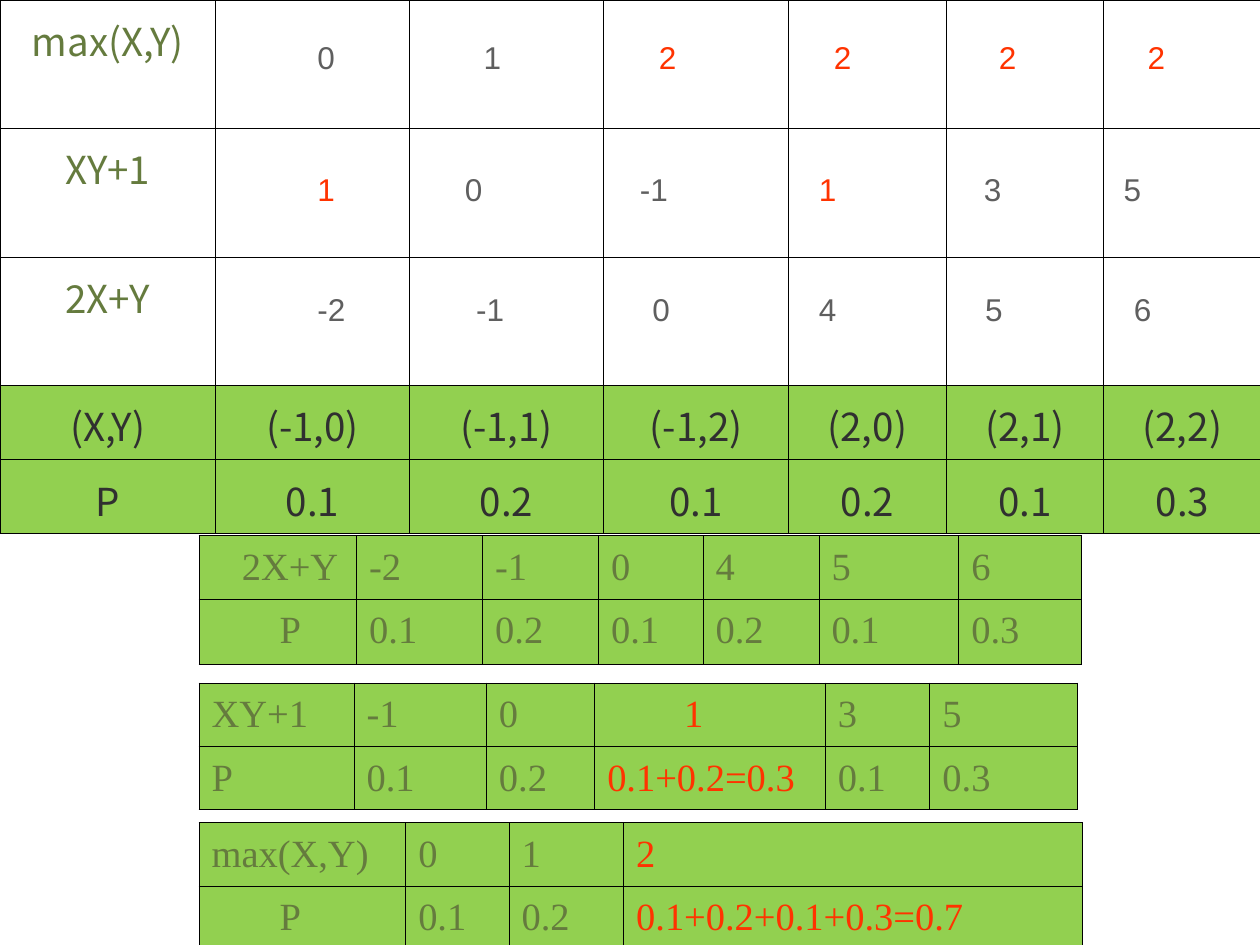
from lxml.etree import SubElement
from pptx import Presentation
from pptx.dml.color import RGBColor
from pptx.enum.text import PP_ALIGN
from pptx.oxml.ns import qn
from pptx.util import Inches, Pt

COLORS = {
    "line": "000000",
    "green": "92D050",
    "olive": "657B3E",
    "dark": "303030",
    "gray": "5F5F5F",
    "red": "FF3300",
}
PAIRS = ["(X,Y)", "(-1,0)", "(-1,1)", "(-1,2)", "(2,0)", "(2,1)", "(2,2)"]
PROBS = ["P", "0.1", "0.2", "0.1", "0.2", "0.1", "0.3"]
JOINT_ROWS = [["max(X,Y)"], ["XY+1"], ["2X+Y"], PAIRS, PROBS]

# top, values, offsets of the values after the first, positions of red values
VALUE_ROWS = [
    (0.25, "0 1 2 2 2 2", [1.32, 2.71, 4.1, 5.41, 6.59], {2, 3, 4, 5}),
    (1.3, "1 0 -1 1 3 5", [1.17, 2.56, 3.98, 5.29, 6.4], {0, 3}),
    (2.25, "-2 -1 0 4 5 6", [1.26, 2.66, 3.98, 5.3, 6.48], set()),
]

# frame, column widths, row heights, texts, red column, cell indents
DISTRIBUTIONS = [
    ((1.58, 4.25, 7, 1.02), [1.25, 1, 0.92, 0.83, 0.92, 1.11, 0.97], [0.5, 0.52],
     [["2X+Y", "-2", "-1", "0", "4", "5", "6"], PROBS],
     None, {(0, 0): 0.24, (1, 0): 0.54}),
    ((1.58, 5.42, 6.98, 1.01), [1.23, 1.05, 0.86, 1.83, 0.83, 1.17], [0.5, 0.5],
     [["XY+1", "-1", "0", "1", "3", "5"],
      ["P", "0.1", "0.2", "0.1+0.2=0.3", "0.1", "0.3"]],
     3, {(0, 3): 0.61}),
    ((1.58, 6.53, 7, 1.01), [1.64, 0.82, 0.91, 3.64], [0.5, 0.5],
     [["max(X,Y)", "0", "1", "2"], ["P", "0.1", "0.2", "0.1+0.2+0.1+0.3=0.7"]],
     3, {(1, 0): 0.54}),
]


def rgb(name):
    return RGBColor.from_string(COLORS[name])


def style_font(font, name, size, color):
    font.name = name
    font.size = Pt(size)
    font.color.rgb = rgb(color)


def add_grid(slide, frame, widths, heights):
    sp = slide.shapes.add_table(len(heights), len(widths), *map(Inches, frame))
    table = sp.table
    table.first_row = table.horz_banding = False
    for column, width in zip(table.columns, widths):
        column.width = Inches(width)
    for row, height in zip(table.rows, heights):
        row.height = Inches(height)
    sp.height = Inches(frame[3])
    return table


def style_cell(cell, fill):
    """Draw the four borders, then the fill that must follow them."""
    tc_pr = cell._tc.get_or_add_tcPr()
    for side in ("lnL", "lnR", "lnT", "lnB"):
        ln = SubElement(tc_pr, qn(f"a:{side}"), w=str(Pt(0.45)))
        solid = SubElement(ln, qn("a:solidFill"))
        SubElement(solid, qn("a:srgbClr"), val=COLORS["line"])
    if fill:
        cell.fill.solid()
        cell.fill.fore_color.rgb = rgb(fill)
    else:
        cell.fill.background()


def set_cell_text(cell, text, font, color, align=PP_ALIGN.LEFT):
    p = cell.text_frame.paragraphs[0]
    p.text = text
    p.alignment = align
    p.line_spacing = 1.1
    style_font(p.font, font, 22, color)


def add_joint_table(slide):
    table = add_grid(slide, (0, 0, 10, 4.14),
                     [1.71, 1.54, 1.54, 1.47, 1.25, 1.25, 1.25],
                     [1.02, 1.02, 1.02, 0.59, 0.5])
    for i, texts in enumerate(JOINT_ROWS):
        filled = len(texts) > 1
        for j in range(len(table.columns)):
            cell = table.cell(i, j)
            style_cell(cell, "green" if filled else None)
            if j < len(texts):
                set_cell_text(cell, texts[j], "Noto Sans CJK JP",
                              "dark" if filled else "olive", PP_ALIGN.CENTER)


def add_distribution(slide, frame, widths, heights, rows, red_column, indents):
    table = add_grid(slide, frame, widths, heights)
    for i, texts in enumerate(rows):
        for j, text in enumerate(texts):
            cell = table.cell(i, j)
            cell.margin_left = Inches(0.1 + indents.get((i, j), 0))
            style_cell(cell, "green")
            set_cell_text(cell, text, "Times New Roman",
                          "red" if j == red_column else "olive")


def add_value_row(slide, top, values, offsets, red):
    """Place one line of values across the joint table with tab stops."""
    box = slide.shapes.add_textbox(Inches(2.42), Inches(top), Inches(7.08), Inches(0.4))
    tf = box.text_frame
    tf.word_wrap = True
    p = tf.paragraphs[0]
    tabs = SubElement(p._p.get_or_add_pPr(), qn("a:tabLst"))
    for offset in offsets:
        SubElement(tabs, qn("a:tab"), pos=str(Inches(offset)), algn="l")
    for i, value in enumerate(values.split()):
        r = p.add_run()
        r.text = f"\t{value}" if i else value
        style_font(r.font, "Arial", 18, "red" if i in red else "gray")


def main():
    prs = Presentation()
    prs.slide_width, prs.slide_height = Inches(10), Inches(7.5)
    slide = prs.slides.add_slide(prs.slide_layouts[6])
    add_joint_table(slide)
    for row in VALUE_ROWS:
        add_value_row(slide, *row)
    for distribution in DISTRIBUTIONS:
        add_distribution(slide, *distribution)
    prs.save("out.pptx")


if __name__ == "__main__":
    main()
